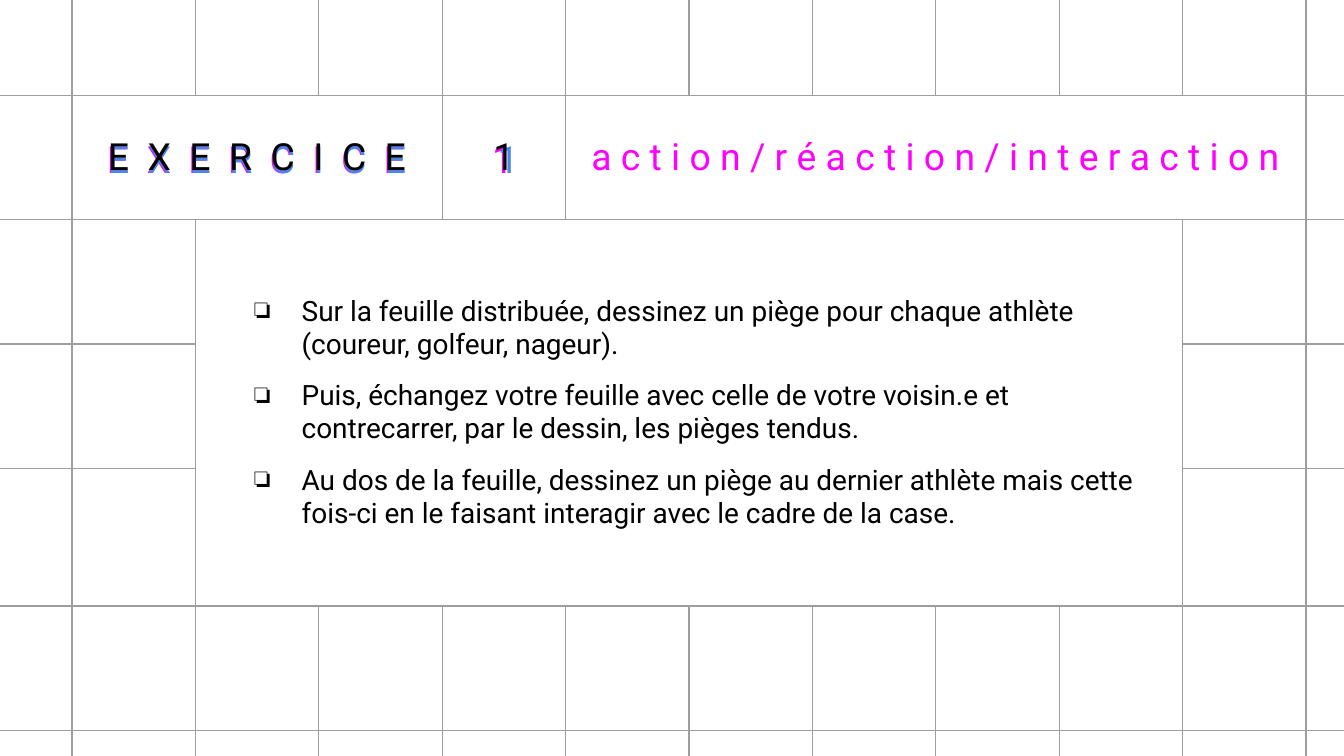
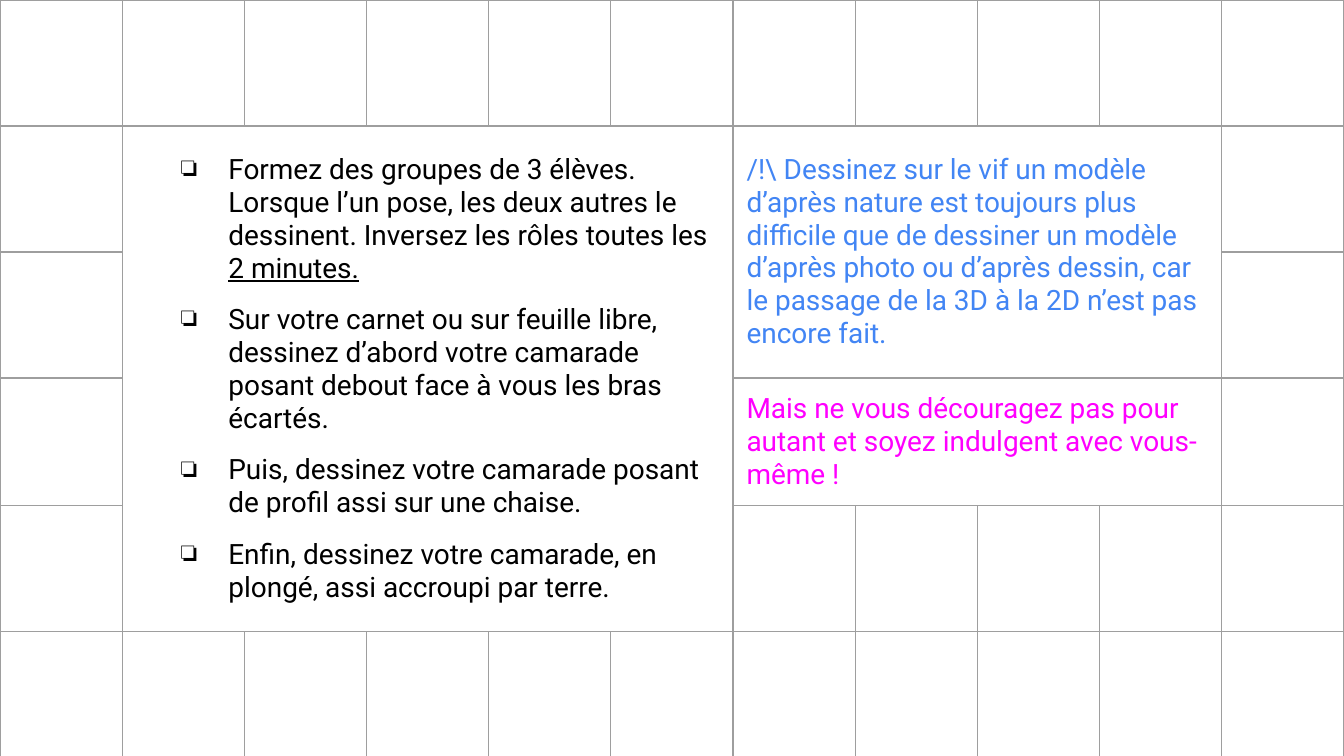
from lxml.etree import SubElement as Sub
from pptx import Presentation
from pptx.dml.color import RGBColor as RGB
from pptx.enum.text import MSO_ANCHOR as ANCHOR, MSO_AUTO_SIZE as AUTO, PP_ALIGN as ALIGN
from pptx.oxml.ns import qn
from pptx.util import Pt

COLORS = {"line": "9E9E9E", "text": "000000", "magenta": "FF00FF",
          "shadow": "4A86E8", "note": "4285F4"}
FONT = "Roboto"
TITLE, BODY = 20, 15
INSET = 7.2
INDENT, HANGING, GAP = 49.68, 25.2, 10
NO_STYLE = "{2D5ABB26-0587-4C30-8999-92F81FD0307C}"

HEADING = "E X E R C I C E"
NUMBER = "1"
TRACKING = 2.48


def style(p, size, color, align=None, tracking=0):
    p.alignment = align
    p.font.size = Pt(size)
    p.font.name = FONT
    p.font.color.rgb = RGB.from_string(COLORS[color])
    if tracking:
        p._p.pPr.find(qn("a:defRPr")).set("spc", str(round(tracking * 100)))


def set_insets(box):
    box.margin_left = box.margin_right = Pt(INSET)
    box.margin_top = box.margin_bottom = Pt(INSET)


def add_bullet(p):
    pPr = p._p.get_or_add_pPr()
    pPr.set("marL", str(Pt(INDENT)))
    pPr.set("indent", str(-Pt(HANGING)))
    Sub(Sub(pPr, qn("a:buClr")), qn("a:srgbClr"), val=COLORS["text"])
    Sub(pPr, qn("a:buChar"), char="❏")


def draw_borders(cell):
    tcPr = cell._tc.get_or_add_tcPr()
    for side in "LRTB":
        ln = Sub(tcPr, qn(f"a:ln{side}"), w=str(Pt(0.75)))
        Sub(Sub(ln, qn("a:solidFill")), qn("a:srgbClr"), val=COLORS["line"])


def add_grid(s, left, top, col_width, cols, row_heights, spans):
    """Ruled table; spans holds (row, col, rows, cols) of each merged area."""
    frame = s.shapes.add_table(len(row_heights), cols, Pt(left), Pt(top),
                               Pt(col_width * cols), Pt(sum(row_heights)))
    table = frame.table
    table.first_row = table.horz_banding = False
    table._tbl.tblPr.find(qn("a:tableStyleId")).text = NO_STYLE
    for col in table.columns:
        col.width = Pt(col_width)
    for row, height in zip(table.rows, row_heights):
        row.height = Pt(height)
    for r, c, rows, columns in spans:
        table.cell(r, c).merge(table.cell(r + rows - 1, c + columns - 1))
    for cell in table.iter_cells():
        if not cell.is_spanned:
            draw_borders(cell)
        cell.fill.background()
    return table


def fill_cell(cell, text, size, color, align=None, tracking=0):
    set_insets(cell)
    cell.vertical_anchor = ANCHOR.MIDDLE
    p = cell.text_frame.paragraphs[0]
    p.add_run().text = text
    style(p, size, color, align, tracking)


def fill_list(cell, items):
    """Each item is a list of (text, underlined) runs."""
    set_insets(cell)
    cell.vertical_anchor = ANCHOR.MIDDLE
    tf = cell.text_frame
    for i, item in enumerate(items):
        p = tf.add_paragraph() if i else tf.paragraphs[0]
        add_bullet(p)
        if i:
            p.space_before = Pt(GAP)
        style(p, BODY, "text")
        for text, underlined in item:
            r = p.add_run()
            r.text = text
            if underlined:
                r.font.underline = True


def add_title_echo(s, text, left, top, width, height, color, tracking=0):
    sp = s.shapes.add_textbox(Pt(left), Pt(top), Pt(width), Pt(height))
    tf = sp.text_frame
    tf.word_wrap = True
    tf.auto_size = AUTO.SHAPE_TO_FIT_TEXT
    set_insets(tf)
    p = tf.paragraphs[0]
    p.add_run().text = text
    style(p, TITLE, color, ALIGN.CENTER, tracking)


def exercise_slide(s, left, top):
    # Coloured echoes behind the black title
    y, h = top + 147.6, 38.9
    for text, x, w, color, tracking in [
            (NUMBER, 283.1, 27.4, "magenta", 0),
            (NUMBER, 286, 27.4, "shadow", 0),
            (HEADING, 69.3, 190.8, "magenta", TRACKING),
            (HEADING, 54.9, 221, "shadow", TRACKING)]:
        add_title_echo(s, text, left + x, y, w, h, color, tracking)

    # Grid with title band and instructions
    rows = [66.6] * 5 + [73.8] + [66.6] * 2
    table = add_grid(s, left, top, 66.13, 12, rows,
                     [(2, 1, 1, 3), (2, 5, 1, 6), (3, 2, 3, 8)])
    fill_cell(table.cell(2, 1), HEADING, TITLE, "text", ALIGN.CENTER, TRACKING)
    fill_cell(table.cell(2, 4), NUMBER, TITLE, "text", ALIGN.CENTER)
    fill_cell(table.cell(2, 5), "a c t i o n / r é a c t i o n / i n t e r a c t i o n",
              TITLE, "magenta", ALIGN.CENTER)
    fill_list(table.cell(3, 2), [
        [("Sur la feuille distribuée, dessinez un piège pour chaque athlète "
          "(coureur, golfeur, nageur).", False)],
        [("Puis, échangez votre feuille avec celle de votre voisin.e et "
          "contrecarrer, par le dessin, les pièges tendus.", False)],
        [("Au dos de la feuille, dessinez un piège au dernier athlète mais cette "
          "fois-ci en le faisant interagir avec le cadre de la case.", False)],
    ])


def drawing_slide(s, left, top, width):
    table = add_grid(s, left, top, width / 11, 11, [67.5] * 8,
                     [(1, 1, 4, 5), (1, 6, 2, 4), (3, 6, 1, 4)])
    # Instructions
    steps = table.cell(1, 1)
    fill_list(steps, [
        [("Formez des groupes de 3 élèves. Lorsque l’un pose, les deux autres le "
          "dessinent. Inversez les rôles toutes les ", False), ("2 minutes.", True)],
        [("Sur votre carnet ou sur feuille libre, dessinez d’abord votre camarade "
          "posant debout face à vous les bras écartés.", False)],
        [("Puis, dessinez votre camarade posant de profil assi sur une chaise.", False)],
        [("Enfin, dessinez votre camarade, en plongé, assi accroupi par terre.", False)],
    ])
    steps.text_frame.paragraphs[-1].space_after = Pt(GAP)
    # Advice
    fill_cell(table.cell(1, 6),
              "/!\\ Dessinez sur le vif un modèle d’après nature est toujours plus "
              "difficile que de dessiner un modèle d’après photo ou d’après dessin, "
              "car le passage de la 3D à la 2D n’est pas encore fait.", BODY, "note")
    fill_cell(table.cell(3, 6),
              "Mais ne vous découragez pas pour autant et soyez indulgent avec "
              "vous-même !", BODY, "magenta")


def main():
    prs = Presentation()
    prs.slide_width, prs.slide_height = Pt(720), Pt(405)
    blank = prs.slide_layouts[6]
    exercise_slide(prs.slides.add_slide(blank), -27.5, -82.1)
    drawing_slide(prs.slides.add_slide(blank), 0, 0, 720)
    prs.save("out.pptx")


if __name__ == "__main__":
    main()
